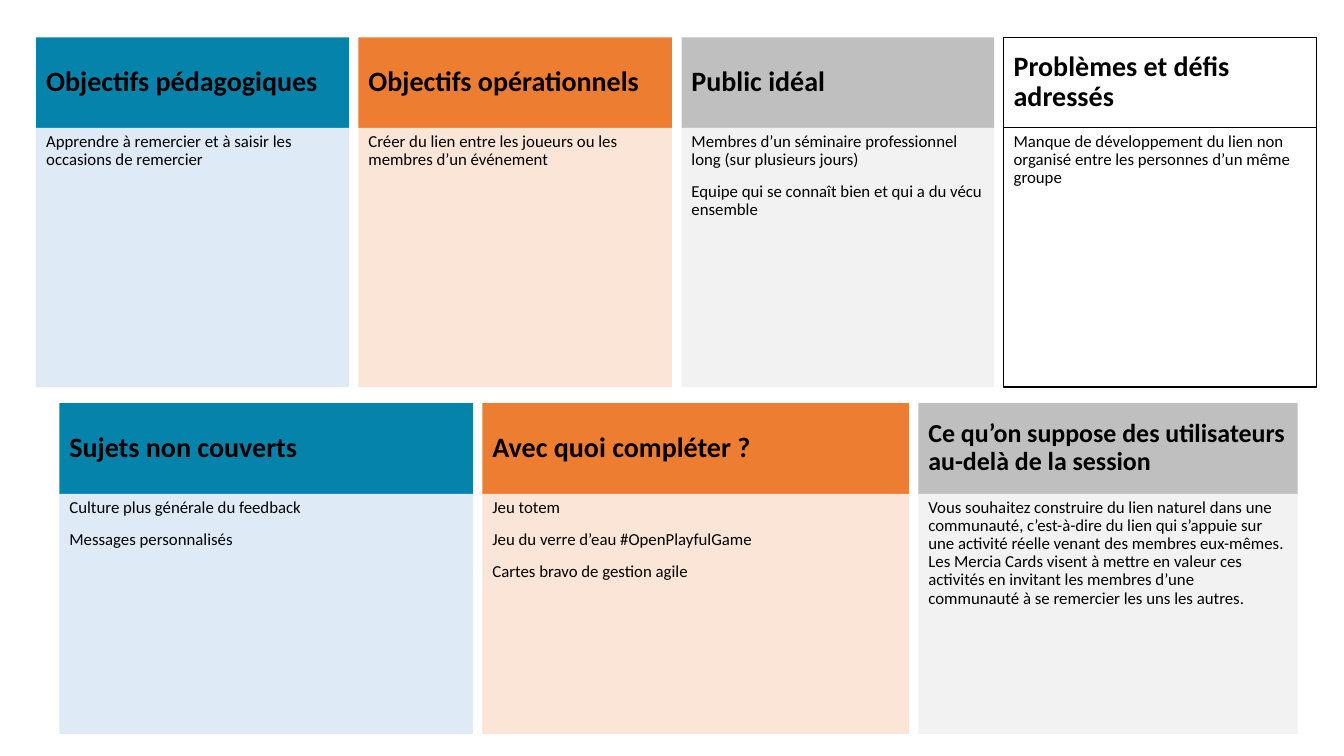
from pptx import Presentation
from pptx.dml.color import RGBColor
from pptx.enum.shapes import MSO_SHAPE as Shape
from pptx.enum.text import MSO_ANCHOR as Anchor, PP_ALIGN as Align
from pptx.util import Inches, Pt

COLORS = {
    "blue": "0683AA", "light blue": "DEEBF7",
    "orange": "ED7D31", "light orange": "FBE5D6",
    "gray": "BFBFBF", "light gray": "F2F2F2",
    "white": "FFFFFF", "light white": "FFFFFF",
    "black": "000000",
}
HEADER_HEIGHT = 0.9
CARD_GAP = 0.095

# Each card: width, color, title, title size, body paragraphs
GOAL_CARDS = [
    (3.1, "blue", "Objectifs pédagogiques", 20,
     ["Apprendre à remercier et à saisir les occasions de remercier"]),
    (3.11, "orange", "Objectifs opérationnels", 20,
     ["Créer du lien entre les joueurs ou les membres d’un événement"]),
    (3.1, "gray", "Public idéal", 20,
     ["Membres d’un séminaire professionnel long (sur plusieurs jours)",
      "Equipe qui se connaît bien et qui a du vécu ensemble"]),
    (3.1, "white", "Problèmes et défis adressés", 20,
     ["Manque de développement du lien non organisé entre les personnes "
      "d’un même groupe"]),
]
SCOPE_CARDS = [
    (4.1, "blue", "Sujets non couverts", 20,
     ["Culture plus générale du feedback", "Messages personnalisés"]),
    (4.23, "orange", "Avec quoi compléter ?", 20,
     ["Jeu totem", "Jeu du verre d’eau #OpenPlayfulGame",
      "Cartes bravo de gestion agile"]),
    (3.76, "gray", "Ce qu’on suppose des utilisateurs au-delà de la session", 18.5,
     ["Vous souhaitez construire du lien naturel dans une communauté, "
      "c’est-à-dire du lien qui s’appuie sur une activité réelle venant des "
      "membres eux-mêmes. Les Mercia Cards visent à mettre en valeur ces "
      "activités en invitant les membres d’une communauté à se remercier les "
      "uns les autres."]),
]


def rgb(name):
    return RGBColor.from_string(COLORS[name])


def write_text(shape, paragraphs, *, size, bold=False, anchor=Anchor.TOP):
    frame = shape.text_frame
    frame.word_wrap = True
    frame.vertical_anchor = anchor
    for index, text in enumerate(paragraphs):
        paragraph = frame.add_paragraph() if index else frame.paragraphs[0]
        paragraph.alignment = Align.LEFT
        paragraph.line_spacing = 0.9
        paragraph.space_before = Pt(10 if index else 0)
        run = paragraph.add_run()
        run.text = text
        run.font.name = "Calibri"
        run.font.size = Pt(size)
        run.font.bold = bold
        run.font.color.rgb = rgb("black")


def add_panel(slide, left, top, width, height, fill, outlined):
    shape = slide.shapes.add_shape(
        Shape.RECTANGLE, Inches(left), Inches(top), Inches(width), Inches(height))
    shape.shadow.inherit = False
    shape.fill.solid()
    shape.fill.fore_color.rgb = rgb(fill)
    if outlined:
        shape.line.color.rgb = rgb("black")
        shape.line.width = Pt(0.75)
    else:
        shape.line.fill.background()
    return shape


def add_card(slide, left, top, height, card):
    """Place a colored title above a paler body."""
    width, color, title, title_size, paragraphs = card
    outlined = color == "white"
    header = add_panel(slide, left, top, width, HEADER_HEIGHT, color, outlined)
    write_text(header, [title], size=title_size, bold=True, anchor=Anchor.MIDDLE)
    body = add_panel(slide, left, top + HEADER_HEIGHT, width,
                     height - HEADER_HEIGHT, f"light {color}", outlined)
    write_text(body, paragraphs, size=12)


def add_card_row(slide, left, top, height, cards):
    for card in cards:
        add_card(slide, left, top, height, card)
        left += card[0] + CARD_GAP


def main():
    presentation = Presentation()
    presentation.slide_width = Inches(13.33)
    presentation.slide_height = Inches(7.5)
    slide = presentation.slides.add_slide(presentation.slide_layouts[6])
    add_card_row(slide, 0.36, 0.37, 3.47, GOAL_CARDS)
    add_card_row(slide, 0.59, 4, 3.28, SCOPE_CARDS)
    presentation.save("out.pptx")


if __name__ == "__main__":
    main()
